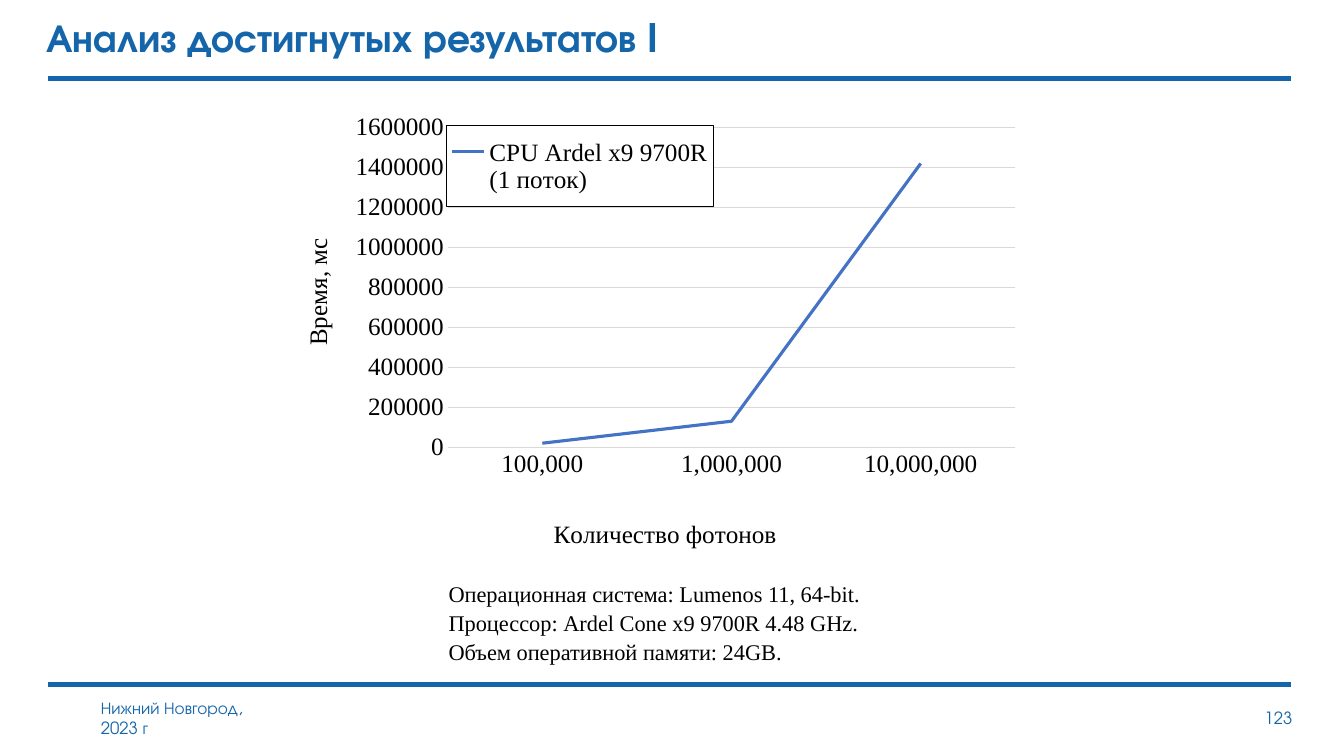
from lxml import etree
from pptx import Presentation
from pptx.chart.data import CategoryChartData
from pptx.dml.color import RGBColor
from pptx.enum.chart import XL_CHART_TYPE, XL_LEGEND_POSITION, XL_MARKER_STYLE, XL_TICK_MARK
from pptx.enum.shapes import MSO_CONNECTOR
from pptx.enum.text import MSO_ANCHOR, MSO_AUTO_SIZE, PP_ALIGN
from pptx.oxml import parse_xml
from pptx.oxml.ns import nsdecls, qn
from pptx.util import Cm, Pt

BLUE = RGBColor(0x14, 0x65, 0xAA)
SERIES_BLUE = RGBColor(0x44, 0x72, 0xC4)
GRID_GREY = RGBColor(0xD9, 0xD9, 0xD9)
BLACK = RGBColor(0, 0, 0)
HEADING_FONT = "TeX Gyre Adventor"
BODY_FONT = "Times New Roman"
NO_TICK = XL_TICK_MARK.NONE


def style(font, name, size, color, bold=False):
    font.name, font.size, font.bold = name, Pt(size), bold
    font.color.rgb = color


def place(part, position, **values):
    """Give a chart part a manual layout, as fractions of the chart."""
    old = part.find(qn("c:layout"))
    if old is not None:
        part.remove(old)
    layout = etree.Element(qn("c:layout"))
    manual = etree.SubElement(layout, qn("c:manualLayout"))
    for tag, value in values.items():
        etree.SubElement(manual, qn(f"c:{tag}")).set("val", str(value))
    part.insert(position, layout)


prs = Presentation()
prs.slide_width, prs.slide_height = Cm(33.87), Cm(19.05)
slide = prs.slides.add_slide(prs.slide_layouts[1])
shapes = slide.shapes

# Rules above and below the content
for rule_y in (1.98, 17.25):
    rule = shapes.add_connector(MSO_CONNECTOR.STRAIGHT, Cm(1.22), Cm(rule_y), Cm(32.54), Cm(rule_y))
    rule.line.color.rgb = BLUE
    rule.line.width = Pt(3)
    etree.SubElement(rule._element.spPr, qn("a:effectLst"))

# Title
title = shapes.title
title.left, title.top, title.width, title.height = Cm(0.91), Cm(0.2), Cm(31.6), Cm(1.45)
title.text_frame.text = "Анализ достигнутых результатов I"
title.text_frame.auto_size = MSO_AUTO_SIZE.NONE
title.text_frame.vertical_anchor = MSO_ANCHOR.MIDDLE
heading = title.text_frame.paragraphs[0]
heading.alignment = PP_ALIGN.LEFT
style(heading.font, HEADING_FONT, 28, BLUE, bold=True)

# Footer: place and date, page number
for text, left, top, width, height, alignment in (
    ("Нижний Новгород, \v2023 г", 2.29, 17.45, 5.51, 1.27, PP_ALIGN.LEFT),
    ("123", 31.47, 17.7, 1.35, 0.76, PP_ALIGN.RIGHT),
):
    footer = shapes.add_textbox(Cm(left), Cm(top), Cm(width), Cm(height)).text_frame
    footer.word_wrap = True
    footer.text = text
    footer.paragraphs[0].alignment = alignment
    style(footer.paragraphs[0].font, HEADING_FONT, 12, BLUE)

# Run time against photon count
timings = CategoryChartData()
timings.categories = ["100,000", "1,000,000", "10,000,000"]
timings.add_series("CPU Ardel x9 9700R\n(1 поток)", (20000, 130000, 1420000))
chart = shapes.add_chart(
    XL_CHART_TYPE.LINE, Cm(7.11), Cm(2.51), Cm(19.23), Cm(11.51), timings
).chart
chart.has_title = False
style(chart.font, BODY_FONT, 18, BLACK)
chart.plots[0].vary_by_categories = False
place(chart._chartSpace.chart.plotArea, 0, layoutTarget="inner", xMode="edge", yMode="edge",
      x=0.217, y=0.062, w=0.744, h=0.709)

time_line = chart.plots[0].series[0]
time_line.smooth = False
time_line.marker.style = XL_MARKER_STYLE.NONE
time_line.format.line.color.rgb = SERIES_BLUE
time_line.format.line.width = Pt(2.25)

photon_axis, time_axis = chart.category_axis, chart.value_axis
for axis, caption, x, y in (
    (photon_axis, "Количество фотонов", 0.35, 0.92),
    (time_axis, "Время, мс", 0.02, 0.3),
):
    axis.major_tick_mark = axis.minor_tick_mark = NO_TICK
    axis.axis_title.text_frame.text = caption
    style(axis.axis_title.text_frame.paragraphs[0].font, BODY_FONT, 18, BLACK)
    place(axis.axis_title._element, 1, xMode="edge", yMode="edge", x=x, y=y)
time_axis.minimum_scale, time_axis.maximum_scale, time_axis.major_unit = 0, 1600000, 200000
time_axis.format.line.fill.background()
for grey_line in (photon_axis.format.line, time_axis.major_gridlines.format.line):
    grey_line.color.rgb = GRID_GREY
    grey_line.width = Pt(0.75)

chart.has_legend = True
legend = chart.legend
legend.position = XL_LEGEND_POSITION.RIGHT
legend.include_in_layout = False
style(legend.font, BODY_FONT, 18, BLACK)
place(legend._element, 1, xMode="edge", yMode="edge", x=0.215, y=0.058, w=0.35, h=0.18)
legend._element.find(qn("c:overlay")).addnext(parse_xml(
    f'<c:spPr {nsdecls("c", "a")}><a:solidFill><a:srgbClr val="FFFFFF"/></a:solidFill>'
    '<a:ln w="9525"><a:solidFill><a:srgbClr val="000000"/></a:solidFill></a:ln></c:spPr>'
))

# Test machine
machine = slide.placeholders[1]
machine.left, machine.top, machine.width, machine.height = Cm(11.05), Cm(14.45), Cm(15.06), Cm(2.43)
machine.text_frame.text = (
    "Операционная система: Lumenos 11, 64-bit.\n"
    "Процессор: Ardel Cone x9 9700R 4.48 GHz.\n"
    "Объем оперативной памяти: 24GB."
)
machine.text_frame.auto_size = MSO_AUTO_SIZE.NONE
for detail in machine.text_frame.paragraphs:
    detail.line_spacing = 1.07
    detail.space_before = Pt(0)
    style(detail.font, BODY_FONT, 16, BLACK)
    properties = detail._p.get_or_add_pPr()
    properties.set("marL", "0")
    properties.set("indent", "0")
    properties.find(qn("a:defRPr")).addprevious(etree.Element(qn("a:buNone")))

prs.save("out.pptx")
